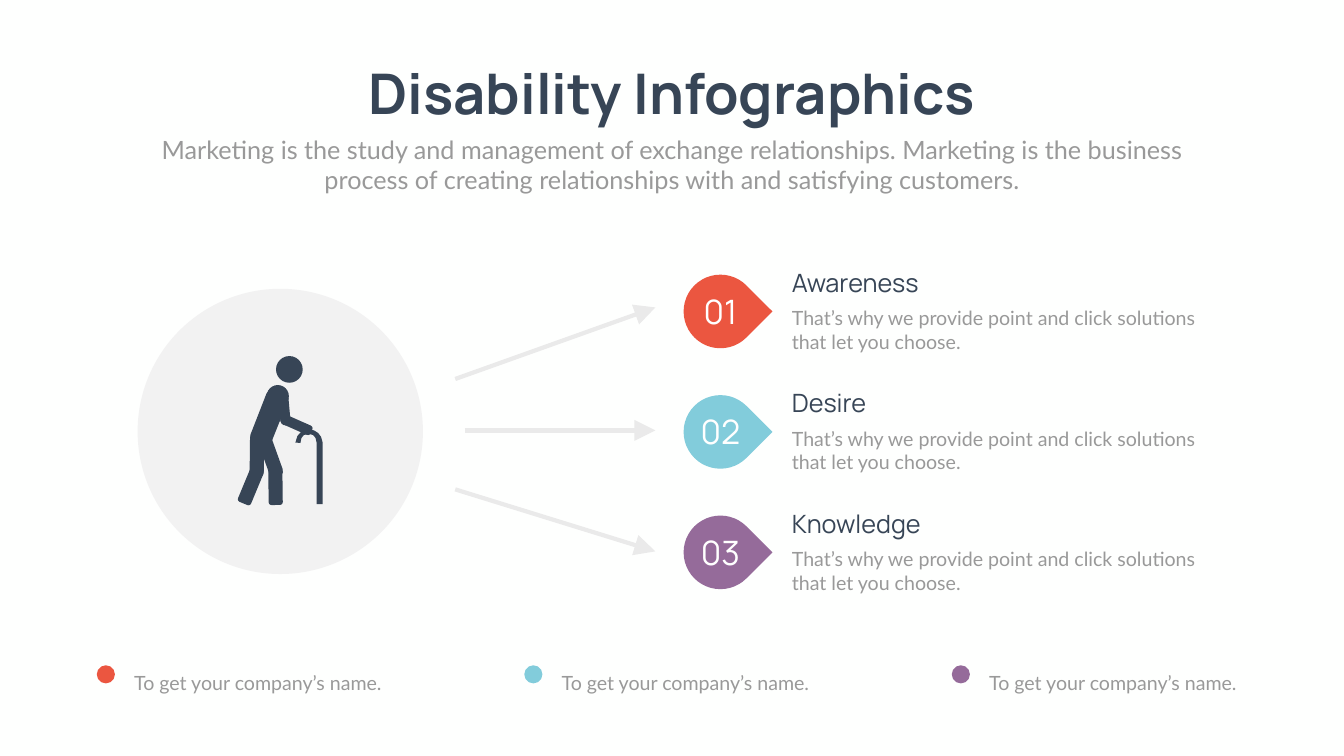
import math

import pptx
import pptx.dml.color
import pptx.enum.shapes
import pptx.enum.text
import pptx.oxml
import pptx.oxml.ns
import pptx.util

Inches = pptx.util.Inches
SHAPES = pptx.enum.shapes.MSO_SHAPE
ALIGN = pptx.enum.text.PP_ALIGN

NAVY, GRAY, WHITE = "374556", "999999", "FFFFFF"
PALE, ARROW = "F2F2F2", "EAEAEA"
ACCENTS = ["EB5640", "82CCDB", "956B9A"]
STEPS = ["Awareness", "Desire", "Knowledge"]
STEP_TEXT = "That’s why we provide point and click solutions that let you choose."
LEGEND_TEXT = "To get your company’s name."
SUBTITLE = (
    "Marketing is the study and management of exchange relationships. "
    "Marketing is the business process of creating relationships with "
    "and satisfying customers."
)
STEP_TOP, STEP_PITCH = 5.25, 2.39
LEGEND_LEFT, LEGEND_PITCH = 1.92, 8.48
ARROWS = [
    ((9.03, 7.52), (13, 6.1)),
    ((9.22, 8.54), (13, 8.54)),
    ((9.03, 9.71), (13, 10.94)),
]
LIMBS = [
    ((5.67, 8.44), (5.61, 7.77), 0.2, 0.5),
    ((5.57, 8.29), (6.18, 8.56), 0.2, 0.3),
    ((5.15, 9.22), (4.83, 9.99), 0.28, 0.2),
    ((5.09, 9.5), (5.1, 8.68), 0.28, 0.2),
    ((5.52, 9.48), (5.24, 8.7), 0.28, 0.2),
    ((5.46, 9.2), (5.47, 10.02), 0.28, 0.2),
]
JOINTS = [(5.74, 7.33, 0.53), (5.18, 8.7), (5.51, 7.86)]
TORSO = [
    (5.38, 8.78), (5.35, 8.82), (5.31, 8.82), (5, 8.69), (4.97, 8.66),
    (4.97, 8.62), (5.29, 7.8), (5.32, 7.77), (5.36, 7.77), (5.67, 7.89),
    (5.71, 7.92), (5.71, 7.96),
]
CANE = [
    (6.4, 10), (6.28, 10), (6.28, 8.78), (6.26, 8.69), (6.21, 8.63),
    (6.12, 8.61), (6.03, 8.63), (5.98, 8.69), (5.96, 8.79), (5.86, 8.78),
    (5.9, 8.65), (5.99, 8.55), (6.13, 8.52), (6.23, 8.54), (6.31, 8.59),
    (6.37, 8.67), (6.4, 8.78),
]


def color(value):
    return pptx.dml.color.RGBColor.from_string(value)


def set_all(target, values):
    for name, value in values.items():
        setattr(target, name, value)


def place(shape, box):
    names = ("left", "top", "width", "height")
    set_all(shape, dict(zip(names, map(Inches, box))))


def write(shape, text, font_name, size, fill, align=ALIGN.LEFT,
          bold=False, spacing=1.0, inset=0.1):
    frame = shape.text_frame
    set_all(frame, {
        "word_wrap": True,
        "auto_size": pptx.enum.text.MSO_AUTO_SIZE.NONE,
        "vertical_anchor": pptx.enum.text.MSO_ANCHOR.TOP,
        "margin_left": Inches(inset),
        "margin_right": Inches(inset),
        "margin_top": Inches(inset / 2),
        "margin_bottom": Inches(inset / 2),
    })
    frame.text = text
    paragraph = frame.paragraphs[0]
    set_all(paragraph, {
        "alignment": align,
        "line_spacing": spacing,
        "space_before": pptx.util.Pt(0),
    })
    font = paragraph.runs[0].font
    set_all(font, {"name": font_name, "size": pptx.util.Pt(size), "bold": bold})
    font.color.rgb = color(fill)


def add_text(slide, box, text, font_name, size, fill, **options):
    shape = slide.shapes.add_textbox(*map(Inches, box))
    write(shape, text, font_name, size, fill, **options)


def paint(shape, fill):
    shape.shadow.inherit = False
    shape.fill.solid()
    shape.fill.fore_color.rgb = color(fill)
    shape.line.fill.background()


def add_filled(slide, kind, box, fill, rotation=0, adjustments=()):
    shape = slide.shapes.add_shape(kind, *map(Inches, box))
    paint(shape, fill)
    shape.rotation = rotation
    for index, value in enumerate(adjustments):
        shape.adjustments[index] = value


def add_outline(slide, points, fill):
    corners = [(Inches(across), Inches(down)) for across, down in points]
    builder = slide.shapes.build_freeform(*corners[0])
    builder.add_line_segments(corners[1:], close=True)
    paint(builder.convert_to_shape(), fill)


def add_arrow(slide, start, end):
    connector = slide.shapes.add_connector(
        pptx.enum.shapes.MSO_CONNECTOR.STRAIGHT, *map(Inches, start + end))
    connector.line.color.rgb = color(ARROW)
    connector.line.width = pptx.util.Pt(6)
    properties = connector._element.spPr
    namespace = pptx.oxml.ns.nsdecls("a")
    line = properties.find(pptx.oxml.ns.qn("a:ln"))
    line.append(pptx.oxml.parse_xml(
        f'<a:tailEnd {namespace} type="triangle" w="lg" len="lg"/>'))
    properties.append(pptx.oxml.parse_xml(f"<a:effectLst {namespace}/>"))


def add_limb(slide, start, end, width, end_rounding):
    across, down = start[0] - end[0], start[1] - end[1]
    length = math.hypot(across, down)
    box = ((start[0] + end[0] - width) / 2, (start[1] + end[1] - length) / 2,
           width, length)
    add_filled(slide, SHAPES.ROUND_2_SAME_RECTANGLE, box, NAVY,
               math.degrees(math.atan2(across, -down)), (0.5, end_rounding))


def add_joint(slide, center_x, center_y, size=0.44):
    box = (center_x - size / 2, center_y - size / 2, size, size)
    add_filled(slide, SHAPES.OVAL, box, NAVY)


def add_person(slide):
    add_filled(slide, SHAPES.OVAL, (2.73, 5.73, 5.66, 5.66), PALE)
    for joint in JOINTS:
        add_joint(slide, *joint)
    for limb in LIMBS:
        add_limb(slide, *limb)
    add_outline(slide, TORSO, NAVY)
    add_outline(slide, CANE, NAVY)


def add_step(slide, index, heading, fill):
    top = STEP_TOP + index * STEP_PITCH
    add_filled(slide, SHAPES.TEAR, (13.56, top + 0.2, 1.46, 1.46), fill, 45, (1,))
    add_text(slide, (13.26, top + 0.47, 2.06, 0.91), f"{index + 1:02}",
             "Manrope", 48, WHITE, align=ALIGN.CENTER)
    add_text(slide, (15.61, top, 4.41, 0.71), heading, "Manrope", 36, NAVY)
    add_text(slide, (15.61, top + 0.78, 8.33, 1.04), STEP_TEXT, "Lato", 28, GRAY)


def add_legend(slide, index, fill):
    left = LEGEND_LEFT + index * LEGEND_PITCH
    add_filled(slide, SHAPES.OVAL, (left, 13.2, 0.36, 0.36), fill)
    add_text(slide, (left + 0.5, 12.97, 5.79, 0.75), LEGEND_TEXT, "Lato", 28,
             GRAY, spacing=1.46, inset=0.24)


def main():
    presentation = pptx.Presentation()
    presentation.slide_width = Inches(26.66)
    presentation.slide_height = Inches(15)
    slide = presentation.slides.add_slide(presentation.slide_layouts[0])
    slide.background.fill.solid()
    slide.background.fill.fore_color.rgb = color("FEFFFE")

    title, subtitle = slide.placeholders
    place(title, (6.71, 1.12, 13.24, 1.45))
    write(title, "Disability Infographics", "Manrope", 80, NAVY,
          align=ALIGN.CENTER, bold=True)
    place(subtitle, (2.92, 2.61, 20.82, 1.31))
    write(subtitle, SUBTITLE, "Lato", 36, GRAY, align=ALIGN.CENTER)

    add_person(slide)
    for start, end in ARROWS:
        add_arrow(slide, start, end)
    for index, (heading, fill) in enumerate(zip(STEPS, ACCENTS)):
        add_step(slide, index, heading, fill)
        add_legend(slide, index, fill)
    presentation.save("out.pptx")


if __name__ == "__main__":
    main()
